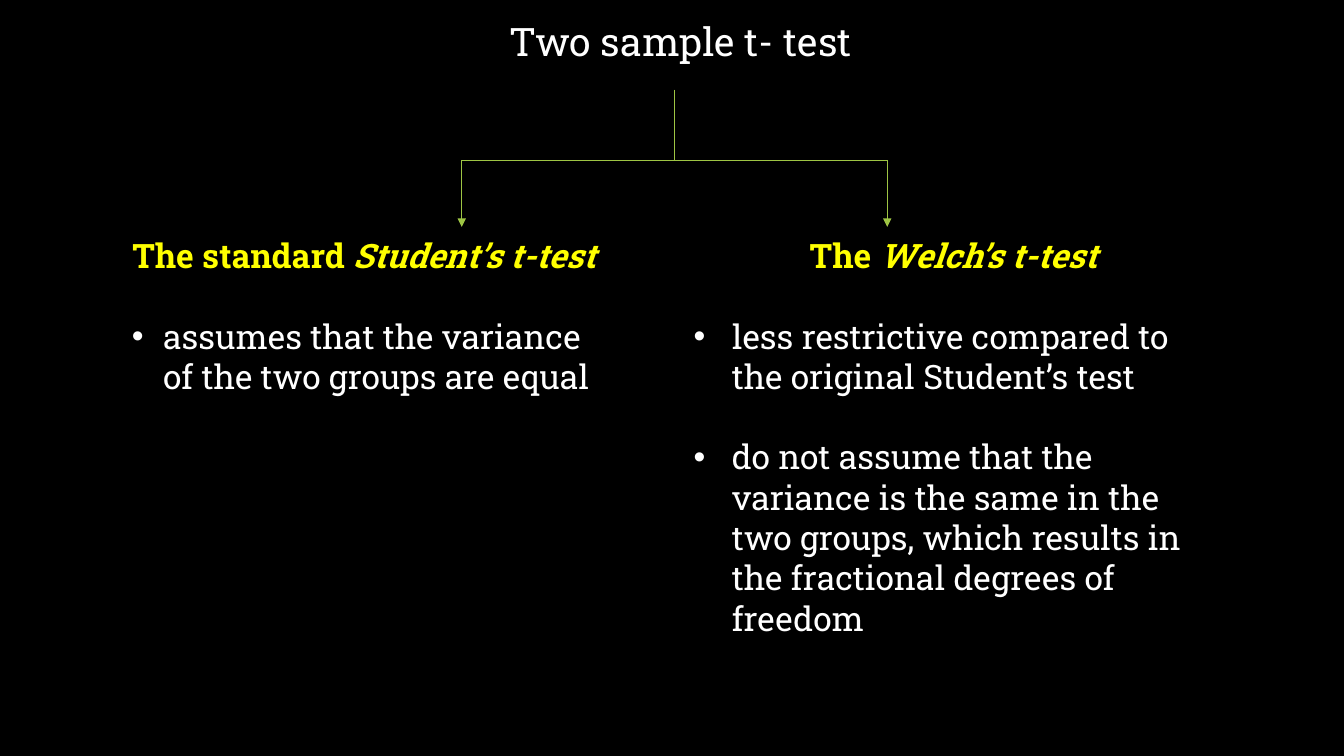
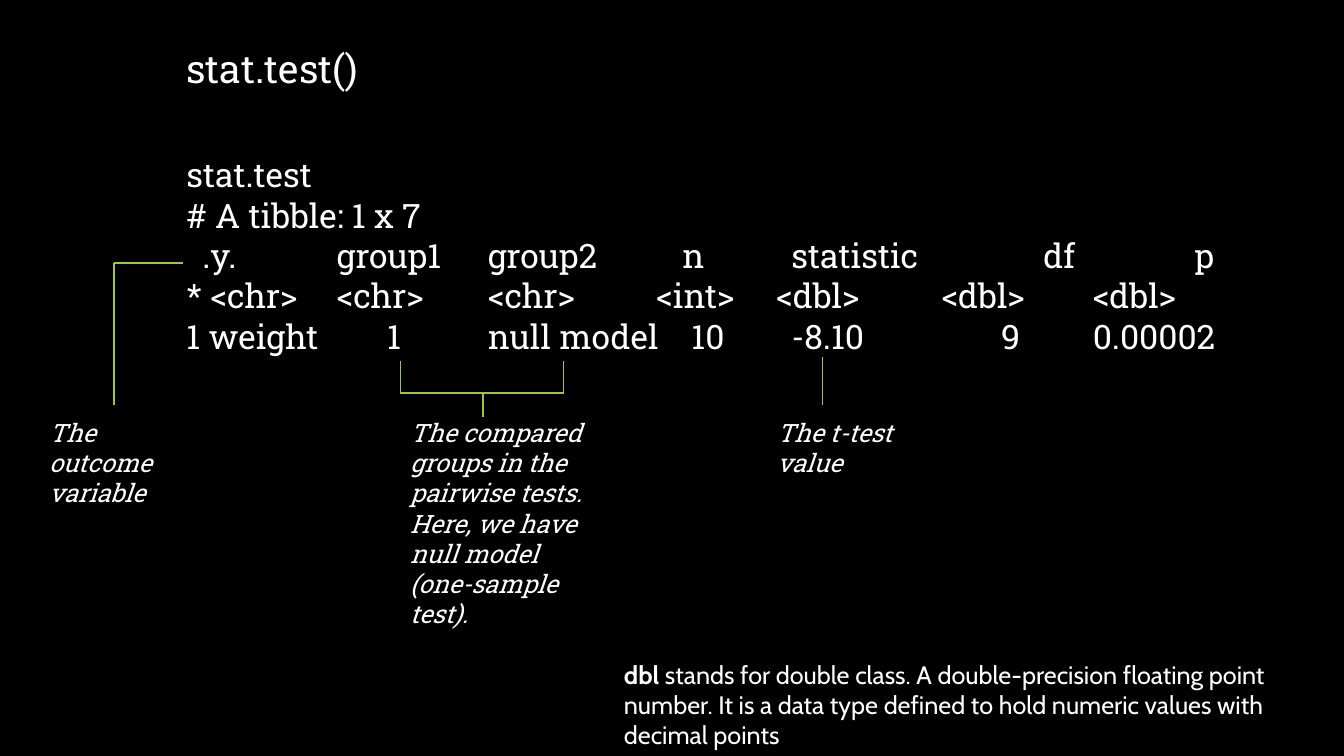
import pptx
import pptx.util
import pptx.dml.color
import pptx.enum.shapes
import pptx.enum.text
import pptx.oxml.ns
from lxml import etree

Inches = pptx.util.Inches
Pt = pptx.util.Pt
qn = pptx.oxml.ns.qn

BLACK, WHITE, YELLOW, GREEN = "000000", "FFFFFF", "FFFF00", "9EC544"
SLAB = {"name": "Roboto Slab", "size": Pt(24), "color": WHITE}
TITLE = {**SLAB, "size": Pt(28)}
HEAD = {**SLAB, "color": YELLOW, "bold": True}
NOTE = {**SLAB, "size": Pt(18), "italic": True}
CABIN = {"name": "Cabin", "size": Pt(18), "color": WHITE}
GAP = Pt(28.8)

TESTS = [
    ((1.21, 2.28, 4.8, 1.72), 0.31, "The standard ", "Student’s t-test",
     ["assumes that the variance of the two groups are equal"]),
    ((6.78, 2.28, 5.35, 4.15), 0.38, "The ", "Welch’s t-test",
     ["less restrictive compared to the original Student’s test",
      "do not assume that the variance is the same in the two groups, "
      "which results in the fractional degrees of freedom"]),
]
TREE = [
    ((6.69, 0.89), (6.69, 1.59), False),
    ((4.58, 1.59), (8.8, 1.59), False),
    ((4.58, 1.59), (4.58, 2.25), True),
    ((8.8, 1.59), (8.8, 2.25), True),
]

OUTPUT = [
    ("stat.test", []),
    ("# A tibble: 1 x 7", []),
    ("\t.y.\tgroup1\tgroup2\tn\tstatistic\tdf\tp",
     [0.16, 1.49, 2.99, 4.92, 6, 8.5, 10]),
    ("* <chr>\t<chr>\t<chr>\t<int>\t<dbl>\t<dbl>\t<dbl>",
     [1.49, 2.99, 4.66, 5.85, 7.49, 8.99]),
    ("1 weight\t1\tnull model\t10\t-8.10\t9\t0.00002",
     [1.99, 2.99, 5.01, 6, 8.08, 8.99]),
]
NOTES = [
    (0.39, 1.4, 1.01, "The outcome variable"),
    (3.97, 1.97, 2.22, "The compared groups in the pairwise tests. "
     "Here, we have null model (one-sample test)."),
    (7.61, 1.34, 0.71, "The t-test value"),
]
LINKS = [
    ((1.82, 2.61), (1.13, 2.61)),
    ((1.13, 2.61), (1.13, 4.02)),
    ((3.97, 3.9), (5.59, 3.9)),
    ((3.97, 3.9), (3.97, 3.58)),
    ((5.59, 3.9), (5.59, 3.58)),
    ((4.79, 3.9), (4.79, 4.14)),
    ((8.16, 3.54), (8.16, 4.02)),
]
CLASS = ("dbl", " stands for double class. A double-precision floating point "
         "number. It is a data type defined to hold numeric values with "
         "decimal points")


def paint(code):
    return pptx.dml.color.RGBColor.from_string(code)


def bullet(para, indent):
    props = para._p.get_or_add_pPr()
    props.set("marL", str(Inches(indent)))
    props.set("indent", str(-Inches(indent)))
    etree.SubElement(props, qn("a:buFont"), typeface="Arial")
    etree.SubElement(props, qn("a:buChar"), char="•")


def tabs(para, stops):
    stop_list = etree.SubElement(para._p.get_or_add_pPr(), qn("a:tabLst"))
    for stop in stops:
        etree.SubElement(stop_list, qn("a:tab"), pos=str(Inches(stop)), algn="l")


def write(slide, place, paras):
    box = slide.shapes.add_textbox(*map(Inches, place))
    frame = box.text_frame
    frame.word_wrap = True
    for i, (runs, form) in enumerate(paras):
        para = frame.paragraphs[0] if i == 0 else frame.add_paragraph()
        if form.get("bullet"):
            bullet(para, form["bullet"])
        if form.get("tabs"):
            tabs(para, form["tabs"])
        para.alignment = form.get("align", pptx.enum.text.PP_ALIGN.LEFT)
        if i and "before" in form:
            para.space_before = form["before"]
        for text, style in runs:
            run = para.add_run()
            run.text = text
            for key, value in style.items():
                if key == "color":
                    run.font.color.rgb = paint(value)
                else:
                    setattr(run.font, key, value)


def link(slide, start, end, arrow=False):
    line = slide.shapes.add_connector(
        pptx.enum.shapes.MSO_CONNECTOR.STRAIGHT, *map(Inches, start + end))
    line.line.color.rgb = paint(GREEN)
    line.line.width = Pt(1)
    if arrow:
        etree.SubElement(line.line._get_or_add_ln(), qn("a:tailEnd"), type="triangle")
    etree.SubElement(line._element.spPr, qn("a:effectLst"))


def start(deck, title, place, align):
    slide = deck.slides.add_slide(deck.slide_layouts[6])
    fill = slide.background.fill
    fill.solid()
    fill.fore_color.rgb = paint(BLACK)
    write(slide, place, [([(title, TITLE)], {"align": align})])
    return slide


def compare(deck):
    center = pptx.enum.text.PP_ALIGN.CENTER
    slide = start(deck, "Two sample t- test", (4.35, 0.12, 4.8, 0.57), center)
    for branch in TREE:
        link(slide, *branch)
    for place, indent, lead, name, points in TESTS:
        head = [(lead, HEAD), (name, {**HEAD, "italic": True})]
        form = {"bullet": indent, "before": GAP}
        write(slide, place, [(head, {"align": center})]
              + [([(point, SLAB)], form) for point in points])


def explain(deck):
    slide = start(deck, "stat.test()", (1.75, 0.39, 2.22, 0.57),
                  pptx.enum.text.PP_ALIGN.LEFT)
    write(slide, (1.75, 1.48, 11.32, 2.12),
          [([(text, SLAB)], {"tabs": stops}) for text, stops in OUTPUT])
    for ends in LINKS:
        link(slide, *ends)
    for left, width, height, text in NOTES:
        write(slide, (left, 4.09, width, height), [([(text, NOTE)], {})])
    term, rest = CLASS
    write(slide, (6.09, 6.49, 6.67, 1.01),
          [([(term, {**CABIN, "bold": True}), (rest, CABIN)], {})])


def main():
    deck = pptx.Presentation()
    deck.slide_width, deck.slide_height = Inches(13.33), Inches(7.5)
    compare(deck)
    explain(deck)
    deck.save("out.pptx")


if __name__ == "__main__":
    main()
